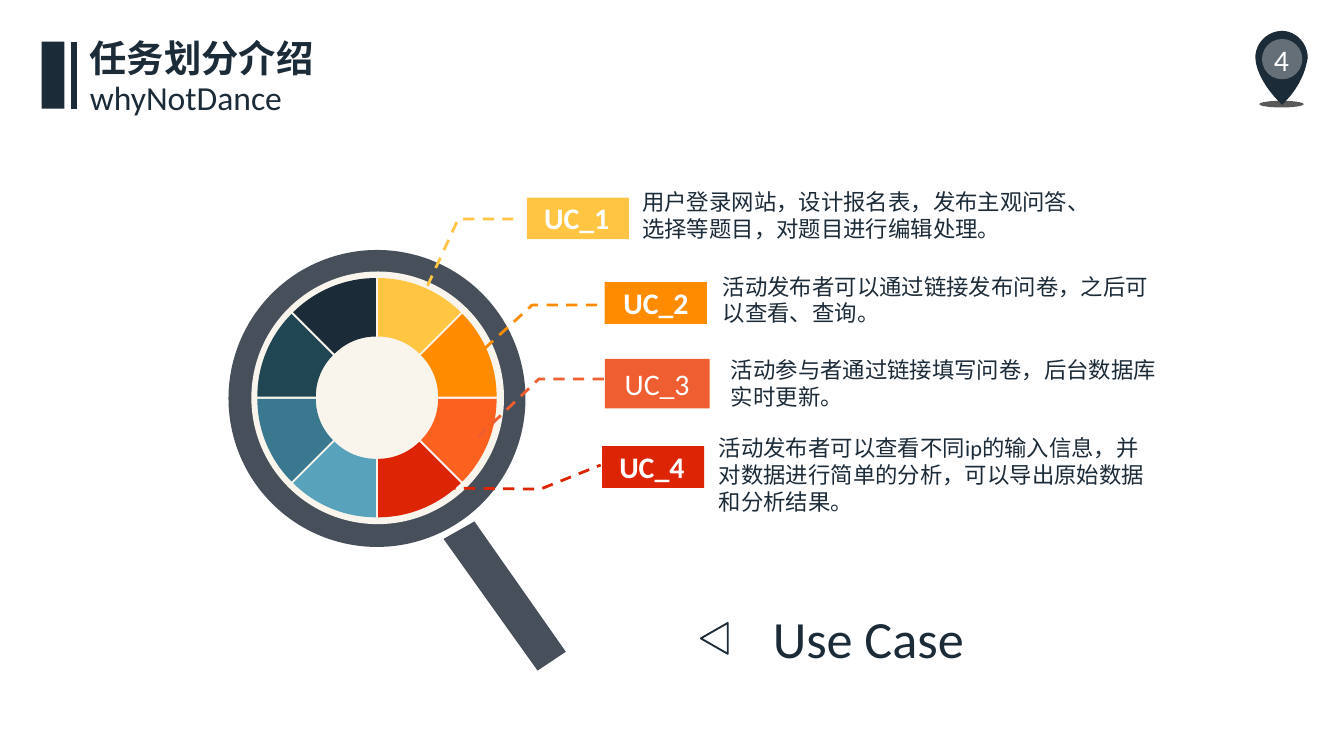
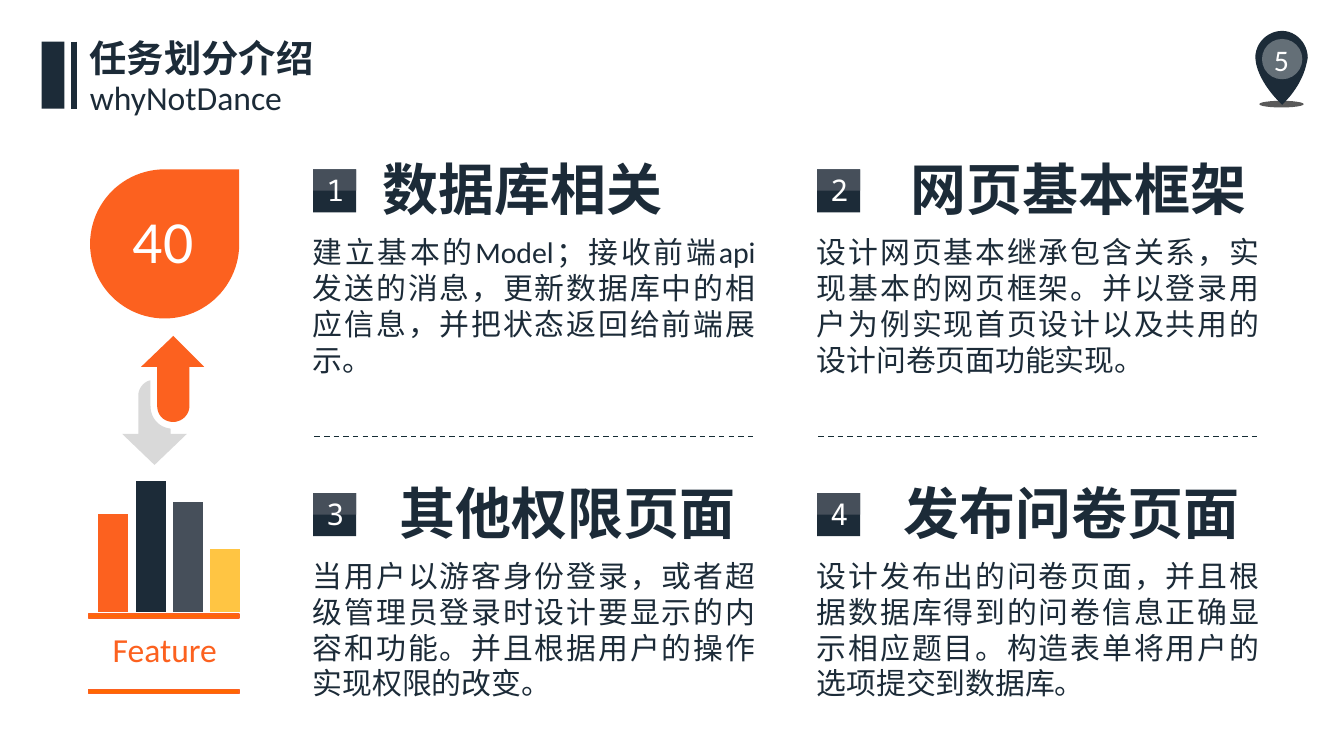
import dataclasses
import math

import lxml.etree
import pptx
import pptx.chart.data
import pptx.dml.color
import pptx.enum.chart
import pptx.enum.dml
import pptx.enum.shapes
import pptx.enum.text
import pptx.oxml
import pptx.oxml.ns
import pptx.util

Inches = pptx.util.Inches
SHAPE = pptx.enum.shapes.MSO_SHAPE
ALIGN = pptx.enum.text.PP_ALIGN
ANCHOR = pptx.enum.text.MSO_ANCHOR
CHART = pptx.enum.chart.XL_CHART_TYPE


@dataclasses.dataclass(frozen=True)
class Theme:
    ink: str = "1C2B38"
    slate: str = "464F5A"
    cream: str = "F9F5ED"
    white: str = "FFFFFF"
    shadow: str = "595959"
    silver: str = "D9D9D9"
    divider: str = "152C34"
    yellow: str = "FFC543"
    amber: str = "FF8B00"
    orange: str = "FC611F"
    coral: str = "EF5E30"
    red: str = "DD2405"
    rule: str = "FF6700"
    body_font: str = "Calibri"
    title_font: str = "Noto Sans Mono"
    small: int = 12
    body: int = 16
    subtitle: int = 18
    title: int = 20
    caption: int = 28
    heading: int = 30
    figure: int = 32


THEME = Theme()
SLIDE_WIDTH = 10
SLIDE_HEIGHT = SLIDE_WIDTH * 9 / 16

TITLE, SUBTITLE = "任务划分介绍", "whyNotDance"

# label, colour, tag box, label box, description position and height, leader points, description
CALLOUTS_BEHIND = [
    ("UC_1", THEME.yellow, (3.92, 1.47, 0.76, 0.31), (3.95, 1.44, 0.69, 0.37), (4.68, 1.35, 0.5),
     [(3.12, 2.26), (3.41, 1.63), (3.82, 1.63)],
     "用户登录网站，设计报名表，发布主观问答、选择等题目，对题目进行编辑处理。"),
    ("UC_2", THEME.amber, (4.5, 2.1, 0.76, 0.31), (4.54, 2.07, 0.69, 0.37), (5.28, 1.98, 0.5),
     [(3.5, 2.69), (3.96, 2.27), (4.5, 2.27)],
     "活动发布者可以通过链接发布问卷，之后可以查看、查询。"),
    ("UC_4", THEME.red, (4.48, 3.32, 0.76, 0.31), (4.51, 3.29, 0.69, 0.37), (5.25, 3.18, 0.71),
     [(3.16, 3.63), (4.02, 3.64), (4.47, 3.46)],
     "活动发布者可以查看不同ip的输入信息，并对数据进行简单的分析，可以导出原始数据和分析结果。"),
]
CALLOUT_IN_FRONT = (
    "UC_3", THEME.coral, (4.5, 2.67, 0.78, 0.37), None, (5.34, 2.6, 0.5),
    [(3.56, 3.25), (4.01, 2.82), (4.56, 2.82)],
    "活动参与者通过链接填写问卷，后台数据库实时更新。")
RING_COLOURS = [THEME.yellow, THEME.amber, THEME.orange, THEME.red,
                "58A2BC", "39788F", "214653", THEME.ink]
RING_VALUES = [12] * len(RING_COLOURS)

# heading, indent of the heading from its badge, body; row by row
FEATURES = [
    ("数据库相关", 0.4,
     "建立基本的Model；接收前端api发送的消息，更新数据库中的相应信息，并把状态返回给前端展示。"),
    ("网页基本框架", 0.58,
     "设计网页基本继承包含关系，实现基本的网页框架。并以登录用户为例实现首页设计以及共用的设计问卷页面功能实现。"),
    ("其他权限页面", 0.53,
     "当用户以游客身份登录，或者超级管理员登录时设计要显示的内容和功能。并且根据用户的操作实现权限的改变。"),
    ("发布问卷页面", 0.53,
     "设计发布出的问卷页面，并且根据数据库得到的问卷信息正确显示相应题目。构造表单将用户的选项提交到数据库。"),
]
COLUMN_LEFTS, ROW_TOPS = (2.33, 6.08), (1.26, 3.67)
BAR_COLOURS = [THEME.orange, THEME.ink, THEME.slate, THEME.yellow]
BAR_VALUES = [75, 100, 84, 48]

# Outlines: a pair is a corner, a triple of pairs is a Bezier curve
PIN = [(9.73, 0.43), ((9.73, 0.32), (9.64, 0.23), (9.54, 0.23)),
       ((9.43, 0.23), (9.34, 0.32), (9.34, 0.43)),
       ((9.35, 0.61), (9.54, 0.78), (9.54, 0.78)),
       ((9.66, 0.66), (9.71, 0.55), (9.73, 0.43))]
HANDLE = [(3.3, 4.01), (4, 4.99), (4.21, 4.85), (3.53, 3.88)]
ARROW_UP = [(1.17, 2.73), (1.05, 2.73), (1.29, 2.5), (1.52, 2.73), (1.41, 2.73),
            (1.41, 3.02), ((1.41, 3.09), (1.35, 3.14), (1.29, 3.14)),
            ((1.22, 3.14), (1.17, 3.09), (1.17, 3.02))]
ARROW_DOWN = [(1.12, 3.02), (1.12, 2.83), ((1.07, 2.84), (1.03, 2.89), (1.03, 2.94)),
              (1.03, 3.23), (0.91, 3.23), (1.15, 3.46), (1.39, 3.23), (1.27, 3.23),
              (1.27, 3.19), ((1.18, 3.18), (1.12, 3.11), (1.12, 3.02))]


def rgb(colour):
    return pptx.dml.color.RGBColor.from_string(colour)


def inches(lengths):
    return [Inches(length) for length in lengths]


def paint(shape, fill=None, line=None, width=1.0, dashed=False):
    shape.shadow.inherit = False
    if fill:
        shape.fill.solid()
        shape.fill.fore_color.rgb = rgb(fill)
    else:
        shape.fill.background()
    if line:
        paint_line(shape.line, line, width, dashed)
    else:
        shape.line.fill.background()
    return shape


def paint_line(line, colour, width, dashed=False):
    line.color.rgb = rgb(colour)
    line.width = pptx.util.Pt(width)
    if dashed:
        line.dash_style = pptx.enum.dml.MSO_LINE.DASH


def add_preset(slide, kind, box, fill=None, **style):
    return paint(slide.shapes.add_shape(kind, *inches(box)), fill, **style)


def flatten(outline, steps=12):
    """Turn corners and Bezier curves into a list of points."""
    points = [outline[0]]
    for part in outline[1:]:
        if len(part) == 2:
            points.append(part)
            continue
        controls = [points[-1], *part]
        for step in range(1, steps + 1):
            t = step / steps
            weights = [math.comb(3, k) * t ** k * (1 - t) ** (3 - k) for k in range(4)]
            points.append(tuple(sum(w * control[axis] for w, control in zip(weights, controls))
                                for axis in (0, 1)))
    return points


def add_outline(slide, outline, fill=None, closed=True, **style):
    start, *others = [inches(point) for point in flatten(outline)]
    builder = slide.shapes.build_freeform(*start)
    builder.add_line_segments(others, close=closed)
    return paint(builder.convert_to_shape(), fill, **style)


def add_line(slide, start, end, colour, width, dashed=False):
    connector = slide.shapes.add_connector(
        pptx.enum.shapes.MSO_CONNECTOR.STRAIGHT, *inches(start + end))
    paint_line(connector.line, colour, width, dashed)
    lxml.etree.SubElement(connector._element.spPr, pptx.oxml.ns.qn("a:effectLst"))


def write(shape, text, size, colour=THEME.ink, font=THEME.body_font, bold=False,
          align=ALIGN.LEFT, anchor=ANCHOR.TOP, wrap=False):
    frame = shape.text_frame
    frame.word_wrap = wrap
    frame.vertical_anchor = anchor
    paragraph = frame.paragraphs[0]
    paragraph.alignment = align
    run = paragraph.add_run()
    run.text = text
    run.font.name, run.font.size, run.font.bold = font, pptx.util.Pt(size), bold
    run.font.color.rgb = rgb(colour)


def add_text(slide, box, text, size, **style):
    write(slide.shapes.add_textbox(*inches(box)), text, size, **style)


def add_plain_chart(slide, kind, box, values, colours):
    data = pptx.chart.data.CategoryChartData()
    data.categories = [str(number) for number in range(1, len(values) + 1)]
    data.add_series("Series 1", values)
    chart = slide.shapes.add_chart(kind, *inches(box), data).chart
    chart.has_legend = chart.has_title = False
    chart.font.name, chart.font.size = THEME.body_font, pptx.util.Pt(THEME.subtitle)
    chart.font.color.rgb = rgb("000000")
    for index, colour in enumerate(colours):
        fill = chart.plots[0].series[0].points[index].format.fill
        fill.solid()
        fill.fore_color.rgb = rgb(colour)
    return chart


def add_framed_slide(presentation, number):
    """Add a slide with the shared title block and page pin."""
    slide = presentation.slides.add_slide(presentation.slide_layouts[5])
    add_preset(slide, SHAPE.OVAL, (9.37, 0.75, 0.33, 0.05), THEME.shadow)
    add_outline(slide, PIN, THEME.ink)
    disc = add_preset(slide, SHAPE.OVAL, (9.39, 0.29, 0.3, 0.3), THEME.white)
    colour = disc._element.spPr.find(".//" + pptx.oxml.ns.qn("a:srgbClr"))
    lxml.etree.SubElement(colour, pptx.oxml.ns.qn("a:alpha"), val="32000")
    add_text(slide, (8.37, 0.29, 2.33, 0.3), str(number), THEME.body, colour=THEME.white,
             align=ALIGN.CENTER, anchor=ANCHOR.MIDDLE, wrap=True)
    add_preset(slide, SHAPE.RECTANGLE, (0.31, 0.31, 0.17, 0.5), THEME.ink)
    add_line(slide, (0.55, 0.31), (0.55, 0.81), THEME.ink, 3)
    title = slide.shapes.title
    title.left, title.top, title.width, title.height = inches((0.56, 0.21, 1.88, 0.44))
    write(title, TITLE, THEME.title, font=THEME.title_font, bold=True, align=ALIGN.CENTER)
    add_text(slide, (0.57, 0.52, 1.65, 0.4), SUBTITLE, THEME.subtitle)
    return slide


def add_callout(slide, label, colour, tag_box, label_box, description_box, leader, description):
    """Draw a tag with its text; a label with a box of its own is bold."""
    tag = add_preset(slide, SHAPE.RECTANGLE, tag_box, colour)
    if label_box:
        add_text(slide, label_box, label, THEME.body, colour=THEME.white, bold=True)
    else:
        write(tag, label, THEME.body, colour=THEME.white, align=ALIGN.CENTER, wrap=True)
    left, top, height = description_box
    add_text(slide, (left, top, 3.43, height), description, THEME.small, wrap=True)
    add_outline(slide, leader, closed=False, line=colour, width=1.5, dashed=True)


def add_magnifier(slide):
    add_preset(slide, SHAPE.OVAL, (1.7, 1.86, 2.21, 2.21), THEME.slate)
    add_preset(slide, SHAPE.OVAL, (1.87, 2.02, 1.88, 1.88), THEME.cream)
    add_outline(slide, HANDLE, THEME.slate)
    centre_x, centre_y, radius, width, length = 2.79, 2.95, 0.67, 0.05, 0.44
    for angle in range(0, 360, 45):
        x = centre_x + radius * math.sin(math.radians(angle))
        y = centre_y - radius * math.cos(math.radians(angle))
        spoke = add_preset(slide, SHAPE.RECTANGLE,
                           (x - width / 2, y - length / 2, width, length), THEME.cream)
        spoke.rotation = angle


def add_use_cases(presentation):
    slide = add_framed_slide(presentation, 4)
    add_text(slide, (5.64, 4.46, 1.64, 0.57), "Use Case", THEME.caption, align=ALIGN.CENTER)
    add_magnifier(slide)
    for callout in CALLOUTS_BEHIND:
        add_callout(slide, *callout)
    ring = add_plain_chart(slide, CHART.DOUGHNUT, (1.72, 1.93, 2.17, 2.06),
                           RING_VALUES, RING_COLOURS)
    explosion = lxml.etree.Element(pptx.oxml.ns.qn("c:explosion"), val="5")
    ring._chartSpace.find(".//" + pptx.oxml.ns.qn("c:dPt")).addprevious(explosion)
    pointer = add_preset(slide, SHAPE.ISOSCELES_TRIANGLE, (5.2, 4.65, 0.23, 0.2), line=THEME.ink)
    pointer.rotation = 270
    add_callout(slide, *CALLOUT_IN_FRONT)


def add_feature(slide, number, left, top, heading, indent, body):
    side = 0.32
    add_text(slide, (left + indent, top - 0.16, len(heading) * THEME.heading / 72 + 0.23, 0.61),
             heading, THEME.heading, bold=True, align=ALIGN.CENTER)
    add_text(slide, (left - 0.1, top + 0.43, 3.49, 1.18), body, THEME.body,
             align=ALIGN.JUSTIFY, wrap=True)
    add_preset(slide, SHAPE.RECTANGLE, (left, top, side, side), THEME.ink)
    add_preset(slide, SHAPE.RECTANGLE, (left, top, side, side / 2), THEME.slate)
    add_text(slide, (left, top - 0.03, 0.33, 0.37), str(number), THEME.body,
             colour=THEME.white, font=THEME.title_font)


def add_bars(slide):
    chart = add_plain_chart(slide, CHART.COLUMN_CLUSTERED, (0.68, 3.36, 1.16, 1.22),
                            BAR_VALUES, BAR_COLOURS)
    chart.plots[0].gap_width = 25
    chart.plots[0].vary_by_categories = False
    chart.category_axis.visible = chart.value_axis.visible = False
    chart.value_axis.has_major_gridlines = False
    chart.value_axis.minimum_scale, chart.value_axis.maximum_scale = 0, 120
    plot_area = chart._chartSpace.chart.plotArea
    for old in plot_area.findall(pptx.oxml.ns.qn("c:layout")):
        plot_area.remove(old)
    settings = [("layoutTarget", "inner"), ("xMode", "edge"), ("yMode", "edge"),
                ("x", 0.02), ("y", 0.02), ("w", 0.96), ("h", 0.96)]
    layout = lxml.etree.Element(pptx.oxml.ns.qn("c:layout"))
    manual = lxml.etree.SubElement(layout, pptx.oxml.ns.qn("c:manualLayout"))
    for name, value in settings:
        lxml.etree.SubElement(manual, pptx.oxml.ns.qn("c:" + name), val=str(value))
    plot_area.insert(0, layout)


def add_features(presentation):
    slide = add_framed_slide(presentation, 5)
    add_outline(slide, ARROW_UP, THEME.orange)
    add_outline(slide, ARROW_DOWN, THEME.silver)
    add_preset(slide, SHAPE.TEAR, (0.67, 1.26, 1.11, 1.11), THEME.orange)
    add_text(slide, (0.89, 1.47, 0.66, 0.64), "40", THEME.figure, colour=THEME.white)
    for top in (4.57, 5.13):
        add_preset(slide, SHAPE.RECTANGLE, (0.66, top, 1.12, 0.03), THEME.rule,
                   line=THEME.orange, width=0.75)
    add_text(slide, (0.74, 4.63, 0.99, 0.4), "Feature", THEME.subtitle, colour=THEME.orange)
    add_bars(slide)
    for index, feature in enumerate(FEATURES):
        row, column = divmod(index, len(COLUMN_LEFTS))
        add_feature(slide, index + 1, COLUMN_LEFTS[column], ROW_TOPS[row], *feature)
    for left in COLUMN_LEFTS:
        add_line(slide, (left + 0.01, 3.25), (left + 3.27, 3.25), THEME.divider, 0.75, dashed=True)


def main():
    presentation = pptx.Presentation()
    presentation.slide_width, presentation.slide_height = inches((SLIDE_WIDTH, SLIDE_HEIGHT))
    add_use_cases(presentation)
    add_features(presentation)
    presentation.save("out.pptx")


if __name__ == "__main__":
    main()
